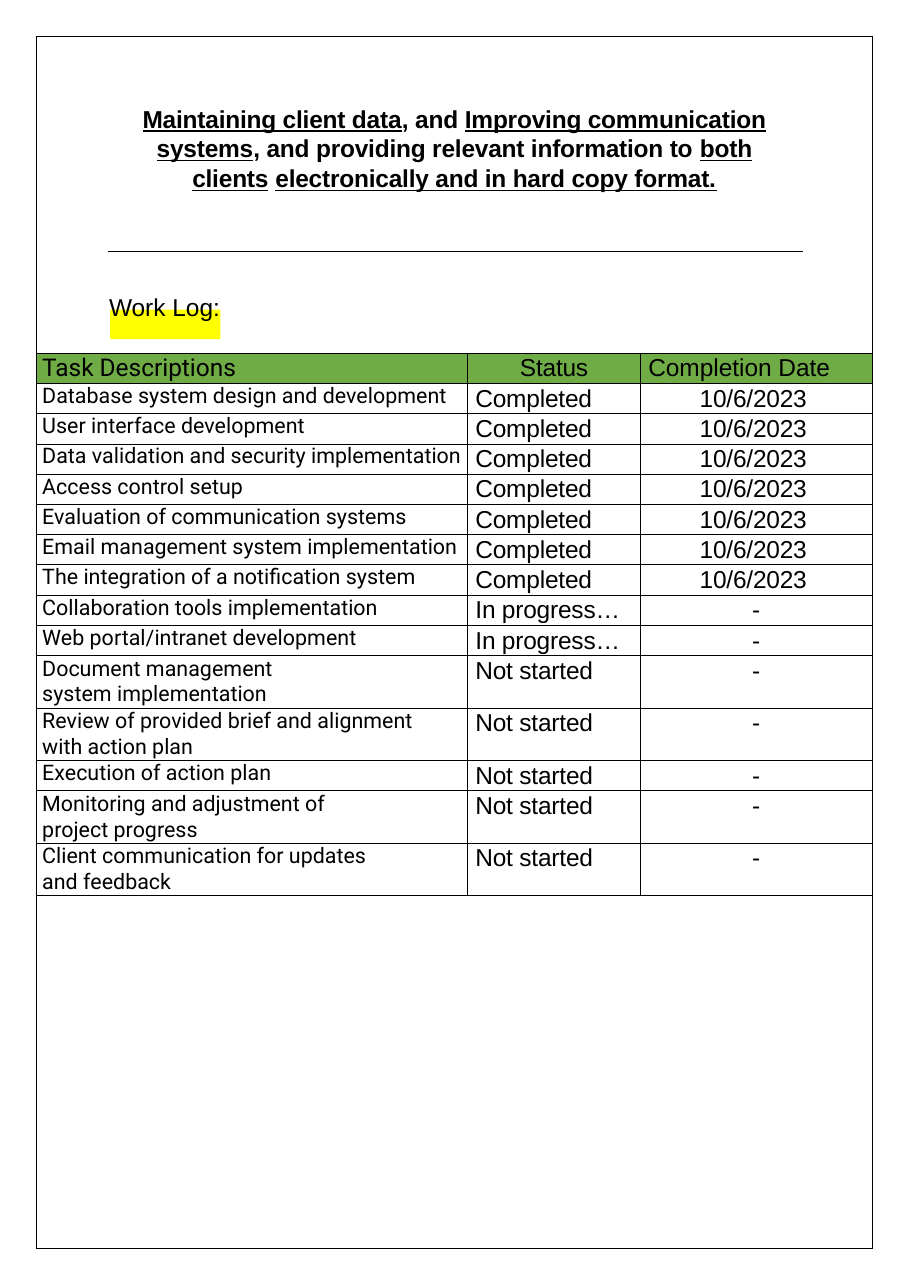
from dataclasses import dataclass
from typing import NamedTuple

from lxml import etree
from pptx import Presentation
from pptx.dml.color import RGBColor
from pptx.enum.shapes import MSO_CONNECTOR, MSO_SHAPE
from pptx.enum.text import PP_ALIGN
from pptx.oxml.ns import qn
from pptx.util import Pt


@dataclass(frozen=True)
class Theme:
    ink: RGBColor = RGBColor(0, 0, 0)
    header: RGBColor = RGBColor(0x6F, 0xAC, 0x46)
    marker: RGBColor = RGBColor(0xFF, 0xFF, 0)
    text_font: str = "Arial"
    task_font: str = "Roboto"
    text_size: float = 16
    task_size: float = 14
    outer_line: float = 0.75
    inner_line: float = 0.5


class Task(NamedTuple):
    name: str
    status: str
    date: str = "-"
    wrap_margin: float = 0


class Style(NamedTuple):
    font: str
    size: float
    indent: float = 0
    line: float | None = None
    align: PP_ALIGN = PP_ALIGN.LEFT
    spacing: float = 0


class Span(NamedTuple):
    text: str
    underline: bool = False


THEME = Theme()
DONE, ACTIVE, WAITING = "Completed", "In progress…", "Not started"
DAY = "10/6/2023"
TASKS = [
    Task("Database system design and development", DONE, DAY),
    Task("User interface development", DONE, DAY),
    Task("Data validation and security implementation", DONE, DAY),
    Task("Access control setup", DONE, DAY),
    Task("Evaluation of communication systems", DONE, DAY),
    Task("Email management system implementation", DONE, DAY),
    Task("The integration of a notification system", DONE, DAY),
    Task("Collaboration tools implementation", ACTIVE),
    Task("Web portal/intranet development", ACTIVE),
    Task("Document management system implementation", WAITING, wrap_margin=105),
    Task("Review of provided brief and alignment with action plan", WAITING, wrap_margin=23),
    Task("Execution of action plan", WAITING),
    Task("Monitoring and adjustment of project progress", WAITING, wrap_margin=56),
    Task("Client communication for updates and feedback", WAITING, wrap_margin=56),
]
TITLE = [
    Span("Maintaining client data", True),
    Span(", and "),
    Span("Improving communication", True),
    Span(" "),
    Span("systems", True),
    Span(", and providing relevant information to "),
    Span("both", True),
    Span(" "),
    Span("clients", True),
    Span(" "),
    Span("electronically and in hard copy format.", True),
]
HEADERS = ["Task Descriptions", "Status", "Completion Date"]

PAGE_W, PAGE_H = 594.72, 841.68
FRAME_LEFT, FRAME_TOP = 23.8, 23.8
COLUMNS = [281.5, 113, 151.9]
TOP_ROW, SINGLE_ROW, DOUBLE_ROW, BOTTOM_ROW = 207, 19.78, 34.3, 230.6
LINE = 18.9

TITLE_STYLE = Style(THEME.text_font, THEME.text_size, 14, 19.4, PP_ALIGN.CENTER, -0.1)
LOG_STYLE = Style(THEME.text_font, THEME.text_size, line=LINE)
HEADER_STYLES = [
    Style(THEME.task_font, THEME.text_size, 3.8, LINE),
    Style(THEME.text_font, THEME.text_size, 34.5, LINE, spacing=-0.1),
    Style(THEME.text_font, THEME.text_size, 5.4, LINE),
]
TASK_STYLE = Style(THEME.task_font, THEME.task_size, 3.8)
WRAPPED_STYLE = TASK_STYLE._replace(line=16.9)
STATUS_STYLE = Style(THEME.text_font, THEME.text_size, 5.4, LINE, spacing=-0.1)
DATE_STYLE = STATUS_STYLE._replace(indent=39)
DASH_STYLE = STATUS_STYLE._replace(indent=0, align=PP_ALIGN.CENTER)


def write(paragraph, spans: list[Span], style: Style, bold: bool = False) -> None:
    paragraph.alignment = style.align
    paragraph._p.get_or_add_pPr().set("marL", str(Pt(style.indent)))
    if style.line:
        paragraph.line_spacing = Pt(style.line)
    for span in spans:
        run = paragraph.add_run()
        run.text = span.text
        font = run.font
        font.name, font.size, font.bold = style.font, Pt(style.size), bold
        font.underline = span.underline
        font.color.rgb = THEME.ink
        if style.spacing:
            run._r.get_or_add_rPr().set("spc", str(round(style.spacing * 100)))


def set_border(cell, edge: str, width: float) -> None:
    line = etree.SubElement(cell._tc.get_or_add_tcPr(), qn(f"a:{edge}"), w=str(Pt(width)))
    if width:
        fill = etree.SubElement(line, qn("a:solidFill"))
        etree.SubElement(fill, qn("a:srgbClr"), val=str(THEME.ink))
    else:
        etree.SubElement(line, qn("a:noFill"))


def frame_cells(table, row_count: int) -> None:
    last_row, last_column = row_count - 1, len(COLUMNS) - 1
    for r in range(row_count):
        divider = 0 if r in (0, last_row) else THEME.inner_line
        for c in range(len(COLUMNS)):
            cell = table.cell(r, c)
            cell.margin_left = cell.margin_right = cell.margin_top = cell.margin_bottom = 0
            outer_right = c == last_column or cell.is_merge_origin
            set_border(cell, "lnL", THEME.outer_line if c == 0 else divider)
            set_border(cell, "lnR", THEME.outer_line if outer_right else divider)
            set_border(cell, "lnT", THEME.outer_line if r == 0 else THEME.inner_line)
            set_border(cell, "lnB", THEME.outer_line if r == last_row else THEME.inner_line)
            if r == 1:
                cell.fill.solid()
                cell.fill.fore_color.rgb = THEME.header
            else:
                cell.fill.background()


def add_work_log(slide) -> None:
    heights = [TOP_ROW, SINGLE_ROW]
    heights += [DOUBLE_ROW if task.wrap_margin else SINGLE_ROW for task in TASKS]
    heights.append(BOTTOM_ROW)
    table = slide.shapes.add_table(
        len(heights), len(COLUMNS), Pt(FRAME_LEFT), Pt(FRAME_TOP), Pt(sum(COLUMNS)), Pt(sum(heights))
    ).table
    table.first_row = table.horz_banding = False
    for column, width in zip(table.columns, COLUMNS):
        column.width = Pt(width)
    for row, height in zip(table.rows, heights):
        row.height = Pt(height)
    for r in (0, len(heights) - 1):
        table.cell(r, 0).merge(table.cell(r, len(COLUMNS) - 1))
    frame_cells(table, len(heights))

    heading = table.cell(0, 0)
    heading.margin_left, heading.margin_right, heading.margin_top = Pt(47.5), Pt(61.5), Pt(43.9)
    write(heading.text_frame.paragraphs[0], TITLE, TITLE_STYLE, bold=True)
    log_label = heading.text_frame.add_paragraph()
    log_label.space_before = Pt(65.2)
    write(log_label, [Span("Work Log:")], LOG_STYLE)

    for c, (text, style) in enumerate(zip(HEADERS, HEADER_STYLES)):
        write(table.cell(1, c).text_frame.paragraphs[0], [Span(text)], style)
    for r, task in enumerate(TASKS, start=2):
        table.cell(r, 0).margin_right = Pt(task.wrap_margin)
        styles = [
            WRAPPED_STYLE if task.wrap_margin else TASK_STYLE,
            STATUS_STYLE,
            DASH_STYLE if task.date == "-" else DATE_STYLE,
        ]
        for c, (text, style) in enumerate(zip(task[:3], styles)):
            write(table.cell(r, c).text_frame.paragraphs[0], [Span(text)], style)


def add_marker(slide) -> None:
    marker = slide.shapes.add_shape(MSO_SHAPE.RECTANGLE, Pt(72), Pt(202.3), Pt(72), Pt(19.4))
    marker.shadow.inherit = False
    marker.fill.solid()
    marker.fill.fore_color.rgb = THEME.marker
    marker.line.fill.background()


def add_rule(slide) -> None:
    rule = slide.shapes.add_connector(MSO_CONNECTOR.STRAIGHT, Pt(70.6), Pt(164.6), Pt(524.6), Pt(164.6))
    rule.line.color.rgb = THEME.ink
    rule.line.width = Pt(0.7)
    etree.SubElement(rule._element.spPr, qn("a:effectLst"))


def main() -> None:
    deck = Presentation()
    deck.slide_width, deck.slide_height = Pt(PAGE_W), Pt(PAGE_H)
    slide = deck.slides.add_slide(deck.slide_layouts[6])
    add_marker(slide)
    add_work_log(slide)
    add_rule(slide)
    deck.save("out.pptx")


main()
